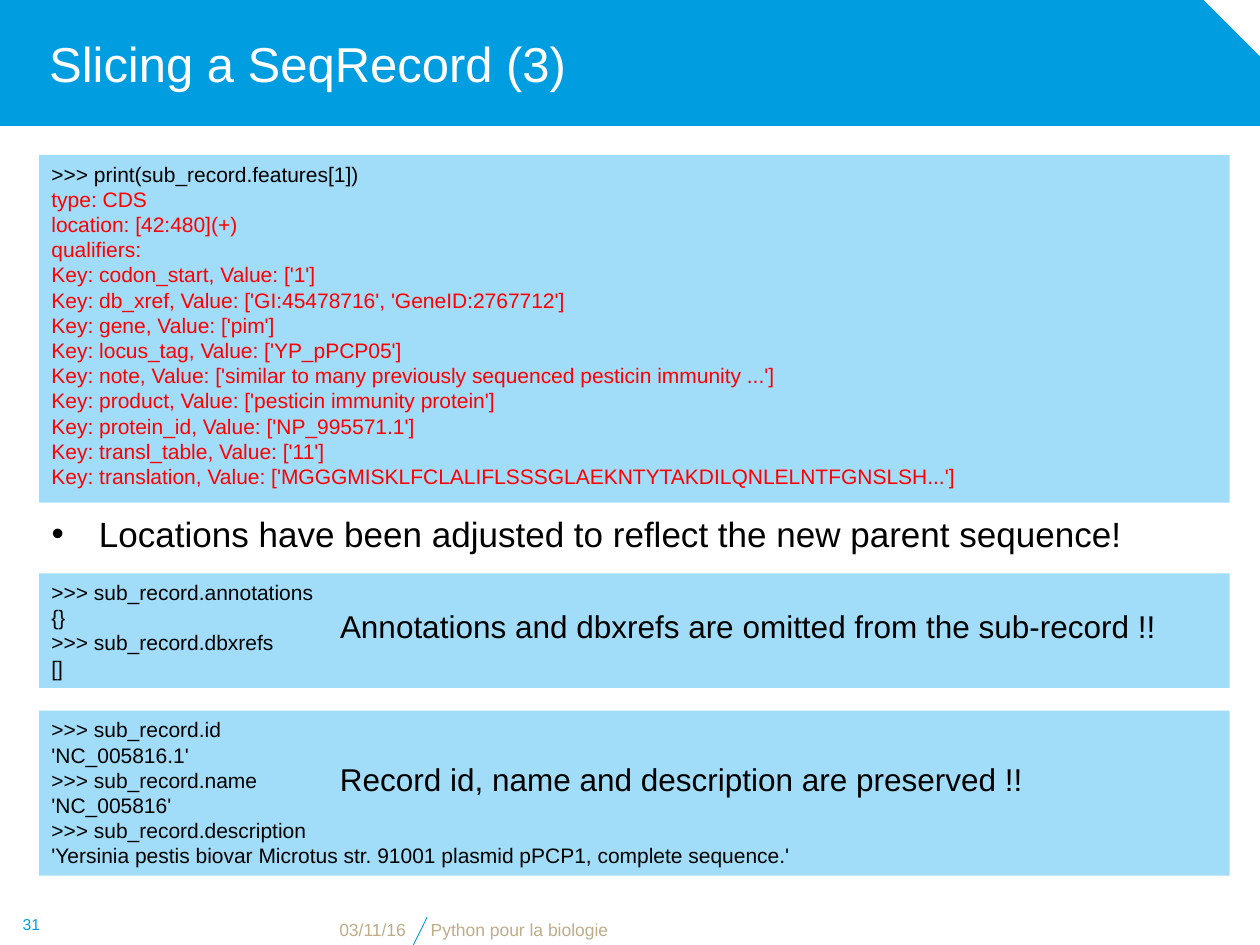
from lxml.etree import SubElement
from pptx import Presentation
from pptx.dml.color import RGBColor
from pptx.enum.shapes import MSO_CONNECTOR, MSO_SHAPE
from pptx.enum.text import MSO_ANCHOR, MSO_AUTO_SIZE, PP_ALIGN
from pptx.oxml.ns import qn
from pptx.util import Inches, Pt

BLUE = RGBColor(0x00, 0x9D, 0xE0)
PALE_BLUE = RGBColor(0xA1, 0xDD, 0xF9)
WHITE = RGBColor(0xFF, 0xFF, 0xFF)
BLACK = RGBColor(0x00, 0x00, 0x00)
RED = RGBColor(0xFF, 0x00, 0x00)
SAND = RGBColor(0xBE, 0xAD, 0x8A)
ORANGE = RGBColor(0xEC, 0x6C, 0x43)

LEFT, WIDTH = 3.1, 94.5
NOTE_LEFT = 26
FOOTER_TOP, FOOTER_HEIGHT = 72.8, 2.3

FEATURE_COMMAND = ">>> print(sub_record.features[1])"
FEATURE_OUTPUT = """type: CDS
location: [42:480](+)
qualifiers:
Key: codon_start, Value: ['1']
Key: db_xref, Value: ['GI:45478716', 'GeneID:2767712']
Key: gene, Value: ['pim']
Key: locus_tag, Value: ['YP_pPCP05']
Key: note, Value: ['similar to many previously sequenced pesticin immunity ...']
Key: product, Value: ['pesticin immunity protein']
Key: protein_id, Value: ['NP_995571.1']
Key: transl_table, Value: ['11']
Key: translation, Value: ['MGGGMISKLFCLALIFLSSSGLAEKNTYTAKDILQNLELNTFGNSLSH...']"""
OMITTED_FIELDS = """>>> sub_record.annotations
{}
>>> sub_record.dbxrefs
[]"""
KEPT_FIELDS = """>>> sub_record.id
'NC_005816.1'
>>> sub_record.name
'NC_005816'
>>> sub_record.description
'Yersinia pestis biovar Microtus str. 91001 plasmid pPCP1, complete sequence.'"""


class SlideBuilder:
    """Draws styled elements on one slide with a grid of 100 columns by 75 rows."""

    font_name = "Arial"

    def __init__(self, deck):
        self.page = deck.slides.add_slide(deck.slide_layouts[1])
        self.column = deck.slide_width / 100
        self.row = deck.slide_height / 75

    def area(self, left, top, width, height):
        return (round(left * self.column), round(top * self.row),
                round(width * self.column), round(height * self.row))

    def place(self, shape, *cells):
        shape.left, shape.top, shape.width, shape.height = self.area(*cells)

    def set_text(self, shape, lines, size, color, align=PP_ALIGN.LEFT,
                 anchor=MSO_ANCHOR.TOP, wrap=True):
        frame = shape.text_frame
        frame.text = "\n".join(lines)
        frame.word_wrap = wrap
        frame.auto_size = MSO_AUTO_SIZE.NONE
        frame.vertical_anchor = anchor
        for para in frame.paragraphs:
            para.alignment = align
            para.font.name = self.font_name
            para.font.size = Pt(size)
            para.font.color.rgb = color
        return frame

    def banner(self, *cells):
        shape = self.block(MSO_SHAPE.SNIP_1_RECTANGLE, BLUE, *cells)
        shape.adjustments[0] = 0.458
        tree = shape.element.getparent()
        tree.insert(2, shape.element)

    def block(self, preset, color, *cells):
        shape = self.page.shapes.add_shape(preset, *self.area(*cells))
        shape.shadow.inherit = False
        shape.fill.solid()
        shape.fill.fore_color.rgb = color
        shape.line.fill.background()
        return shape

    def title(self, text, *cells):
        shape = self.page.shapes.title
        self.place(shape, *cells)
        frame = self.set_text(shape, [text], 28, WHITE, anchor=MSO_ANCHOR.MIDDLE)
        frame.margin_left = Inches(0.39)

    def bullet(self, text, *cells):
        shape = self.page.placeholders[1]
        self.place(shape, *cells)
        properties = shape.text_frame.paragraphs[0]._p.get_or_add_pPr()
        properties.set("marL", str(Inches(0.38)))
        properties.set("indent", str(-Inches(0.38)))
        color = SubElement(properties, qn("a:buClr"))
        SubElement(color, qn("a:srgbClr"), val=str(ORANGE))
        SubElement(properties, qn("a:buChar"), char="➔")
        self.set_text(shape, [text], 20, BLACK)

    def code(self, lines, *cells, output_from=None):
        shape = self.block(MSO_SHAPE.RECTANGLE, PALE_BLUE, *cells)
        frame = self.set_text(shape, lines, 12, BLACK)
        if output_from is not None:
            for para in frame.paragraphs[output_from:]:
                para.font.color.rgb = RED

    def label(self, text, size, color, *cells, **layout):
        box = self.page.shapes.add_textbox(*self.area(*cells))
        self.set_text(box, [text], size, color, **layout)

    def slash(self, *cells):
        left, top, width, height = self.area(*cells)
        line = self.page.shapes.add_connector(
            MSO_CONNECTOR.STRAIGHT, left, top + height, left + width, top)
        line.line.color.rgb = BLUE
        line.line.width = Pt(0.5)
        SubElement(line.element.spPr, qn("a:effectLst"))


def main():
    deck = Presentation()
    deck.slide_width, deck.slide_height = Inches(10), Inches(7.5)
    slide = SlideBuilder(deck)

    slide.banner(0, 0, 100.1, 10)
    slide.title("Slicing a SeqRecord (3)", 0, 0, 95, 10)
    slide.bullet("Locations have been adjusted to reflect the new parent sequence!",
                 LEFT, 40.2, WIDTH, 5.2)

    slide.slash(32.8, FOOTER_TOP, 1.1, 2.2)
    slide.label("03/11/16", 10, SAND, 9.9, FOOTER_TOP, 23.3, FOOTER_HEIGHT,
                align=PP_ALIGN.RIGHT, anchor=MSO_ANCHOR.BOTTOM)
    slide.label("Python pour la biologie", 10, SAND, 33.2, FOOTER_TOP, 57.5,
                FOOTER_HEIGHT, anchor=MSO_ANCHOR.BOTTOM)
    slide.label("31", 9, BLUE, 0, 71.7, 5, 3.3,
                align=PP_ALIGN.CENTER, anchor=MSO_ANCHOR.MIDDLE)

    slide.code([FEATURE_COMMAND, *FEATURE_OUTPUT.splitlines()],
               LEFT, 12.3, WIDTH, 27.6, output_from=1)
    slide.code(OMITTED_FIELDS.splitlines(), LEFT, 45.5, WIDTH, 9.1)
    slide.code(KEPT_FIELDS.splitlines(), LEFT, 56.4, WIDTH, 13.1)

    slide.label("Annotations and dbxrefs are omitted from the sub-record !!",
                18, BLACK, NOTE_LEFT, 47.7, 67.5, 4.4, wrap=False)
    slide.label("Record id, name and description are preserved !!",
                18, BLACK, NOTE_LEFT, 59.8, 57.4, 4, wrap=False)

    deck.save("out.pptx")


if __name__ == "__main__":
    main()
